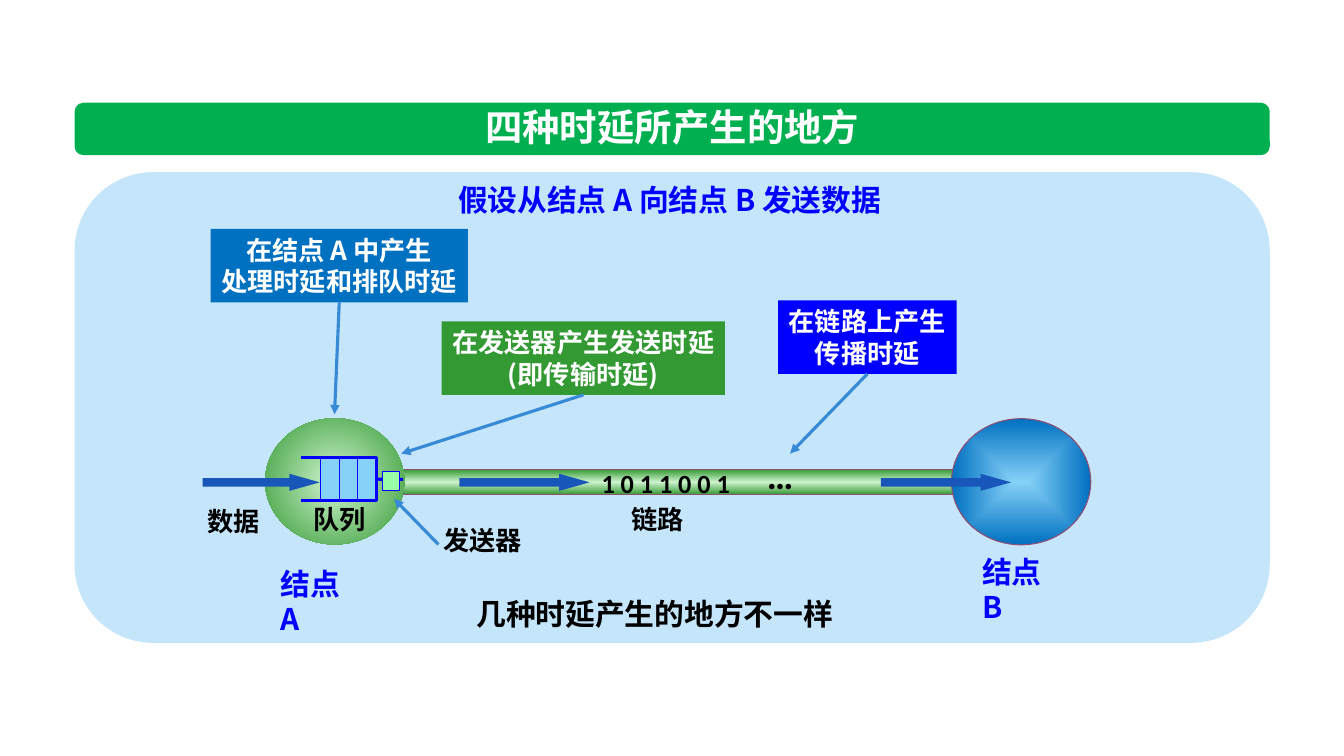
from lxml.etree import SubElement
from pptx import Presentation
from pptx.dml.color import RGBColor
from pptx.enum.lang import MSO_LANGUAGE_ID
from pptx.enum.shapes import MSO_CONNECTOR, MSO_SHAPE
from pptx.enum.text import MSO_ANCHOR, MSO_AUTO_SIZE, PP_ALIGN
from pptx.oxml import parse_xml
from pptx.oxml.ns import nsdecls, qn
from pptx.util import Cm, Pt

WHITE = RGBColor(0xFF, 0xFF, 0xFF)
BLACK = RGBColor(0x00, 0x00, 0x00)
PALE_BLUE = RGBColor(0xC5, 0xE5, 0xFB)
SKY = RGBColor(0x85, 0xD1, 0xF7)
BLUE = RGBColor(0x00, 0x00, 0xFF)
NODE_BLUE = RGBColor(0x00, 0x70, 0xC0)
ARROW_BLUE = RGBColor(0x19, 0x56, 0xB9)
POINTER_BLUE = RGBColor(0x36, 0x8A, 0xD6)
BANNER_GREEN = RGBColor(0x00, 0xB0, 0x50)
GREEN = RGBColor(0x33, 0x99, 0x33)
PALE_GREEN = RGBColor(0xCD, 0xF3, 0xCD)
MINT = RGBColor(0x9A, 0xFE, 0xA6)
PLUM = RGBColor(0x95, 0x4F, 0x72)
CHINESE_FONT = "Noto Sans CJK SC"
LATIN_FONT = "Calibri"


def add_block(kind, left, top, width, height, fill, outline=None):
    shape = slide.shapes.add_shape(kind, Cm(left), Cm(top), Cm(width), Cm(height))
    shape.shadow.inherit = False
    shape.fill.solid()
    shape.fill.fore_color.rgb = fill
    if outline is None:
        shape.line.fill.background()
    else:
        shape.line.color.rgb = outline
        shape.line.width = Pt(0.75)
    return shape


def write_text(shape, text, size, color, font=CHINESE_FONT, align=PP_ALIGN.CENTER):
    frame = shape.text_frame
    frame.text = text
    frame.word_wrap = False
    for paragraph in frame.paragraphs:
        paragraph.alignment = align
        for run in paragraph.runs:
            run.font.size = Pt(size)
            run.font.bold = True
            run.font.color.rgb = color
            run.font.name = font
            run.font.language_id = MSO_LANGUAGE_ID.SIMPLIFIED_CHINESE
            east_asian = SubElement(run.font._element, qn("a:ea"))
            east_asian.set("typeface", CHINESE_FONT)


presentation = Presentation()
presentation.slide_width = Cm(33.87)
presentation.slide_height = Cm(19.05)
slide = presentation.slides.add_slide(presentation.slide_layouts[5])

add_block(MSO_SHAPE.ROUNDED_RECTANGLE, 1.88, 4.34, 30.12, 11.86, PALE_BLUE)
banner = add_block(MSO_SHAPE.ROUNDED_RECTANGLE, 1.88, 2.59, 30.12, 1.32, BANNER_GREEN)

title = slide.shapes.title
title.left, title.top, title.width, title.height = Cm(11.94), Cm(2.49), Cm(10.01), Cm(1.4)
write_text(title, "四种时延所产生的地方", 26.7, WHITE)
title.text_frame.auto_size = MSO_AUTO_SIZE.NONE
title.text_frame.vertical_anchor = MSO_ANCHOR.MIDDLE
banner._element.addnext(title._element)

link = add_block(MSO_SHAPE.RECTANGLE, 9.93, 11.83, 14.25, 0.64, GREEN, PLUM)
node_a = add_block(MSO_SHAPE.OVAL, 6.68, 10.54, 3.51, 3.18, GREEN)
node_b = add_block(MSO_SHAPE.OVAL, 23.98, 10.55, 3.51, 3.18, NODE_BLUE, PLUM)

center = '<a:fillToRect l="50000" t="50000" r="50000" b="50000"/>'
gradients = [
    (link, [(0, GREEN), (50, PALE_GREEN), (100, GREEN)], '<a:lin ang="5400000" scaled="0"/>'),
    (node_a, [(2, PALE_GREEN), (100, GREEN)], f'<a:path path="circle">{center}</a:path>'),
    (node_b, [(0, SKY), (100, NODE_BLUE)], f'<a:path path="shape">{center}</a:path>'),
]
for shape, stops, direction in gradients:
    stop_list = "".join(
        f'<a:gs pos="{position * 1000}"><a:srgbClr val="{color}"/></a:gs>'
        for position, color in stops
    )
    gradient = parse_xml(
        f'<a:gradFill {nsdecls("a")} rotWithShape="1">'
        f"<a:gsLst>{stop_list}</a:gsLst>{direction}</a:gradFill>"
    )
    properties = shape._element.spPr
    properties.replace(properties.find(qn("a:solidFill")), gradient)

queue_top, queue_bottom = 11.53, 12.62
queue = add_block(MSO_SHAPE.RECTANGLE, 8.08, queue_top, 1.4, queue_bottom - queue_top, SKY, BLUE)
builder = slide.shapes.build_freeform(Cm(7.59), Cm(queue_top))
builder.add_line_segments(
    [(Cm(9.48), Cm(queue_top)), (Cm(9.48), Cm(queue_bottom)), (Cm(7.59), Cm(queue_bottom))],
    close=False,
)
queue_frame = builder.convert_to_shape()
queue_frame.shadow.inherit = False
queue_frame.fill.background()
queue_frame.line.color.rgb = BLUE
queue_frame.line.width = Pt(2.25)

lines = [
    (8.08 + 0.47 * index, queue_top, 8.08 + 0.47 * index, queue_bottom, BLUE, 0.75, None, False)
    for index in range(3)
]
lines.append((9.48, 12.08, 10.16, 12.08, BLUE, 2.25, (queue, 3), False))
lines.append((11.05, 13.72, 9.93, 12.57, POINTER_BLUE, 2.25, None, True))

callouts = [
    (5.31, 5.77, 6.48, NODE_BLUE, "在结点 A 中产生\n处理时延和排队时延", 8.43, 10.44),
    (11.13, 8.1, 7.14, GREEN, "在发送器产生发送时延\n(即传输时延)", 10.11, 11.43),
    (19.61, 7.57, 4.5, BLUE, "在链路上产生\n传播时延", 19.91, 11.43),
]
for left, top, width, fill, text, target_x, target_y in callouts:
    callout = add_block(MSO_SHAPE.RECTANGLE, left, top, width, 1.85, fill)
    write_text(callout, text, 18.7, WHITE)
    lines.append((left + width / 2, top + 1.85, target_x, target_y,
                  POINTER_BLUE, 2.25, (callout, 2), True))

for start_x, start_y, end_x, end_y, color, width, joint, has_arrow in lines:
    connector = slide.shapes.add_connector(
        MSO_CONNECTOR.STRAIGHT, Cm(start_x), Cm(start_y), Cm(end_x), Cm(end_y)
    )
    connector.line.color.rgb = color
    connector.line.width = Pt(width)
    if joint:
        connector.begin_connect(*joint)
    if has_arrow:
        SubElement(connector.line._get_or_add_ln(), qn("a:tailEnd")).set("type", "triangle")
    SubElement(connector._element.spPr, qn("a:effectLst"))

add_block(MSO_SHAPE.RECTANGLE, 9.65, 11.89, 0.43, 0.46, MINT, BLUE)

for left, width in [(5.11, 2.95), (11.58, 3.28), (22.2, 3.28)]:
    arrow = add_block(MSO_SHAPE.RIGHT_ARROW, left, 11.94, width, 0.43, ARROW_BLUE)
    arrow.adjustments[1] = 1.78

labels = [
    ("1 0 1 1 0 0 1", 14.91, 11.66, 3.78, 1.07, 18.7, BLACK, LATIN_FONT, PP_ALIGN.LEFT, False),
    ("…", 19.08, 11.28, 1.19, 1.4, 26.7, BLACK, LATIN_FONT, PP_ALIGN.LEFT, False),
    ("发送器", 10.92, 13.08, 2.51, 1.07, 18.7, BLACK, CHINESE_FONT, PP_ALIGN.LEFT, False),
    ("队列", 7.65, 12.57, 1.85, 1.07, 18.7, BLACK, LATIN_FONT, PP_ALIGN.LEFT, False),
    ("数据", 4.98, 12.62, 1.83, 1.07, 18.7, BLACK, CHINESE_FONT, PP_ALIGN.LEFT, False),
    ("链路", 15.67, 12.57, 1.83, 1.07, 18.7, BLACK, CHINESE_FONT, PP_ALIGN.LEFT, False),
    ("结点 A", 6.83, 14.12, 2.4, 1.17, 21.3, BLUE, CHINESE_FONT, PP_ALIGN.LEFT, True),
    ("结点 B", 24.5, 13.82, 2.4, 1.17, 21.3, BLUE, CHINESE_FONT, PP_ALIGN.LEFT, True),
    ("几种时延产生的地方不一样", 11.1, 14.88, 10.8, 1.17, 21.3, BLACK, CHINESE_FONT,
     PP_ALIGN.CENTER, True),
    ("假设从结点 A 向结点 B 发送数据", 10.74, 4.09, 12.27, 1.4, 21.3, BLUE, CHINESE_FONT,
     PP_ALIGN.CENTER, True),
]
for text, left, top, width, height, size, color, font, align, wraps in labels:
    label = slide.shapes.add_textbox(Cm(left), Cm(top), Cm(width), Cm(height))
    write_text(label, text, size, color, font, align)
    label.text_frame.word_wrap = wraps
    label.text_frame.auto_size = MSO_AUTO_SIZE.SHAPE_TO_FIT_TEXT

heading = label.text_frame.paragraphs[0]
heading.line_spacing = Pt(36)
heading.space_before = Pt(8)

presentation.save("out.pptx")
